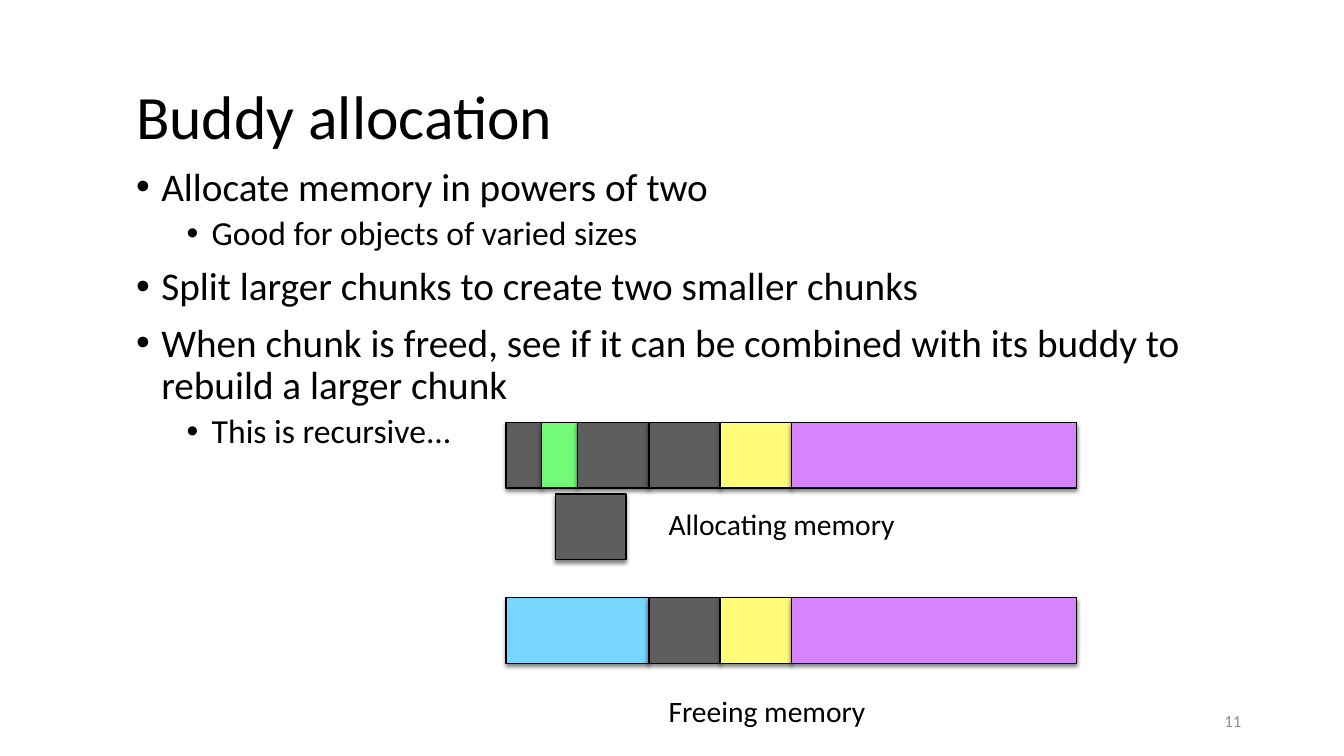
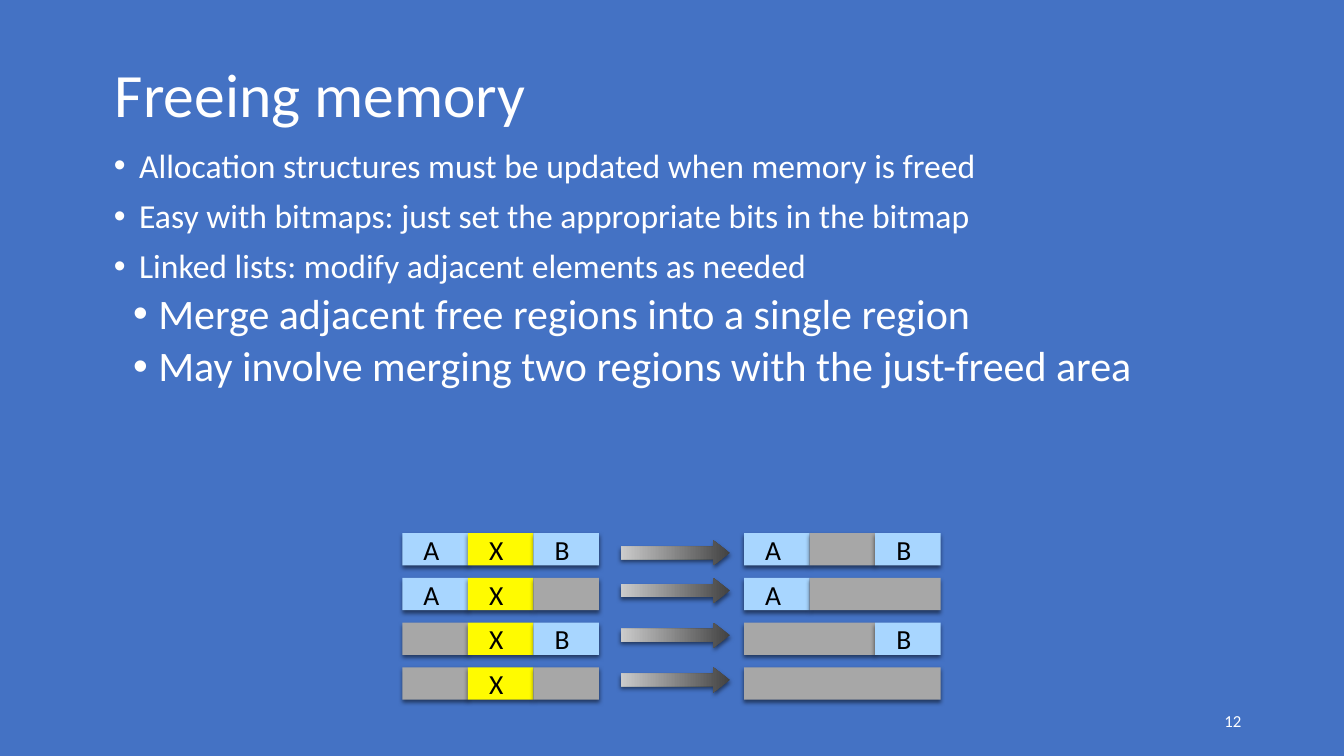
from itertools import groupby

from lxml import etree
from pptx import Presentation
from pptx.dml.color import RGBColor
from pptx.enum.shapes import MSO_SHAPE
from pptx.enum.text import MSO_ANCHOR, MSO_AUTO_SIZE, PP_ALIGN
from pptx.oxml.ns import qn
from pptx.util import Inches, Pt

RECTANGLE = MSO_SHAPE.RECTANGLE
RIGHT_ARROW = MSO_SHAPE.RIGHT_ARROW
MIDDLE = MSO_ANCHOR.MIDDLE
NO_AUTOFIT = MSO_AUTO_SIZE.NONE
LEFT = PP_ALIGN.LEFT
RIGHT = PP_ALIGN.RIGHT

BLACK = "000000"
WHITE = "FFFFFF"
BLUE = "4472C4"
NUMBER_GRAY = "8C8C8C"
CHUNK_GRAY = "5E5E5E"
GREEN = "73FA79"
YELLOW = "FFFC79"
SKY = "76D6FF"
PURPLE = "D783FF"
USED = "A8D6FF"
FREED = "FFFB00"
FREE = "A7A7A7"
ARROW_DARK = "424242"
ARROW_LIGHT = "CBCBCB"


def color(hex_string):
    return RGBColor.from_string(hex_string)


def place(shape, box):
    shape.left, shape.top, shape.width, shape.height = map(Inches, box)


def add_shadow(shape):
    """Give the shape a soft black shadow, straight below it."""
    shape.shadow.inherit = False
    effects = shape._element.spPr.find(qn("a:effectLst"))
    shadow = etree.SubElement(
        effects, qn("a:outerShdw"), blurRad=str(Pt(3)), dist=str(Pt(2)),
        dir="5400000", rotWithShape="0")
    black = etree.SubElement(shadow, qn("a:srgbClr"), val=BLACK)
    etree.SubElement(black, qn("a:alpha"), val="50000")


def add_bullet(paragraph, margin):
    properties = paragraph._p.get_or_add_pPr()
    properties.set("marL", str(Inches(margin)))
    properties.set("indent", str(Inches(-0.25)))
    etree.SubElement(properties, qn("a:buFont"), typeface="Arial")
    etree.SubElement(properties, qn("a:buChar"), char="•")


class Deck:
    font_name = "Calibri"
    title_size = 44
    number_box = (9.41, 6.95, 3, 0.4)
    number_size = 12

    def __init__(self):
        self.presentation = Presentation()
        self.presentation.slide_width = Inches(13.33)
        self.presentation.slide_height = Inches(7.5)
        self.slide = None
        self.text_color = BLACK

    def start_slide(self, background, text_color):
        layout = self.presentation.slide_layouts[1]
        self.slide = self.presentation.slides.add_slide(layout)
        self.text_color = text_color
        fill = self.slide.background.fill
        fill.solid()
        fill.fore_color.rgb = color(background)

    def set_font(self, paragraph, size, text_color):
        paragraph.font.name = self.font_name
        paragraph.font.size = Pt(size)
        paragraph.font.color.rgb = color(text_color)

    def title(self, text, box):
        title = self.slide.shapes.title
        place(title, box)
        frame = title.text_frame
        frame.text = text
        frame.auto_size = NO_AUTOFIT
        frame.vertical_anchor = MIDDLE
        paragraph = frame.paragraphs[0]
        paragraph.alignment = LEFT
        paragraph.line_spacing = 0.9
        self.set_font(paragraph, self.title_size, self.text_color)

    def bullets(self, items, box, sizes, margins):
        """Fill the body with (level, text) items; sizes and margins go by level."""
        body = self.slide.placeholders[1]
        place(body, box)
        frame = body.text_frame
        frame.text = "\n".join(text for _, text in items)
        frame.auto_size = NO_AUTOFIT
        for index, (level, _) in enumerate(items):
            paragraph = frame.paragraphs[index]
            paragraph.level = level
            paragraph.line_spacing = 0.9
            paragraph.space_before = Pt((10, 5)[level] if index else 0)
            add_bullet(paragraph, margins[level])
            self.set_font(paragraph, sizes[level], self.text_color)

    def label(self, text, box, size, text_color, alignment=LEFT, inset=0.04):
        text_box = self.slide.shapes.add_textbox(*map(Inches, box))
        frame = text_box.text_frame
        frame.word_wrap = True
        frame.vertical_anchor = MIDDLE
        frame.margin_left = frame.margin_right = Inches(inset)
        frame.margin_top = frame.margin_bottom = Inches(0.04)
        frame.text = text
        paragraph = frame.paragraphs[0]
        paragraph.alignment = alignment
        self.set_font(paragraph, size, text_color)

    def number(self, text, text_color):
        self.label(text, self.number_box, self.number_size, text_color, RIGHT, 0.1)

    def block(self, box, fill, outlined=False, text=""):
        block = self.slide.shapes.add_shape(RECTANGLE, *map(Inches, box))
        block.fill.solid()
        block.fill.fore_color.rgb = color(fill)
        if outlined:
            block.line.color.rgb = color(BLACK)
            block.line.width = Pt(1)
        else:
            block.line.fill.background()
        add_shadow(block)
        if text:
            frame = block.text_frame
            frame.margin_left = Inches(0.21)
            frame.margin_right = frame.margin_top = frame.margin_bottom = 0
            frame.vertical_anchor = MIDDLE
            frame.text = text
            frame.paragraphs[0].alignment = LEFT
            self.set_font(frame.paragraphs[0], 19.7, BLACK)

    def arrow(self, box):
        arrow = self.slide.shapes.add_shape(RIGHT_ARROW, *map(Inches, box))
        arrow.adjustments[1] = 0.66
        arrow.fill.gradient()
        arrow.fill.gradient_angle = 180
        for stop, shade in zip(arrow.fill.gradient_stops, (ARROW_DARK, ARROW_LIGHT)):
            stop.color.rgb = color(shade)
        arrow.line.fill.background()
        add_shadow(arrow)

    def memory_bar(self, top, chunks):
        """Draw (size, fill) chunks side by side; the sizes add up to 16."""
        left, unit = 5.02, 5.66 / 16
        for size, fill in chunks:
            self.block((left, top, size * unit, 0.65), fill, outlined=True)
            left += size * unit

    def region_row(self, left, top, regions):
        """Draw one letter per cell; equal neighbours merge, a dot is free."""
        cell_width = 0.65
        fills = {"X": FREED, ".": FREE}
        for letter, run in groupby(regions):
            width = len(list(run)) * cell_width
            self.block((left, top, width, 0.32), fills.get(letter, USED),
                       text=letter.strip("."))
            left += width


def build_buddy_allocation(deck):
    deck.start_slide(WHITE, BLACK)
    deck.title("Buddy allocation", (1.25, 0.67, 10.83, 1.04))
    deck.bullets([
        (0, "Allocate memory in powers of two"),
        (1, "Good for objects of varied sizes"),
        (0, "Split larger chunks to create two smaller chunks"),
        (0, "When chunk is freed, see if it can be combined with its buddy "
            "to rebuild a larger chunk"),
        (1, "This is recursive..."),
    ], (1.25, 1.61, 10.83, 3.42), sizes=(28, 24), margins=(0.25, 0.75))
    deck.number("11", NUMBER_GRAY)

    deck.memory_bar(4.19, [(1, CHUNK_GRAY), (1, GREEN), (2, CHUNK_GRAY),
                           (2, CHUNK_GRAY), (2, YELLOW), (8, PURPLE)])
    deck.block((5.51, 4.9, 0.7, 0.65), CHUNK_GRAY, outlined=True)
    deck.memory_bar(5.93, [(4, SKY), (2, CHUNK_GRAY), (2, YELLOW), (8, PURPLE)])
    for text, top in (("Allocating memory", 4.98), ("Freeing memory", 6.84)):
        deck.label(text, (6.59, top, 2.35, 0.43), 21.1, BLACK)


def build_freeing_memory(deck):
    deck.start_slide(BLUE, WHITE)
    deck.title("Freeing memory", (1.04, 0.54, 11.39, 0.86))
    deck.bullets([
        (0, "Allocation structures must be updated when memory is freed"),
        (0, "Easy with bitmaps: just set the appropriate bits in the bitmap"),
        (0, "Linked lists: modify adjacent elements as needed"),
        (1, "Merge adjacent free regions into a single region"),
        (1, "May involve merging two regions with the just-freed area"),
    ], (1.03, 1.43, 11.39, 3.76), sizes=(24, 30), margins=(0.25, 0.44))
    deck.number("12", WHITE)

    merges = [("AXB", "A.B"), ("AX.", "A.."), (".XB", "..B"), (".X.", "...")]
    for index, (before, after) in enumerate(merges):
        top = 5.29 + index * 1.33 / 3
        deck.region_row(3.99, top, before)
        deck.region_row(7.38, top, after)
        arrow_top = top if index else top + 0.07
        deck.arrow((6.16, arrow_top, 1.08, 0.25))


def main():
    deck = Deck()
    build_buddy_allocation(deck)
    build_freeing_memory(deck)
    deck.presentation.save("out.pptx")


if __name__ == "__main__":
    main()
